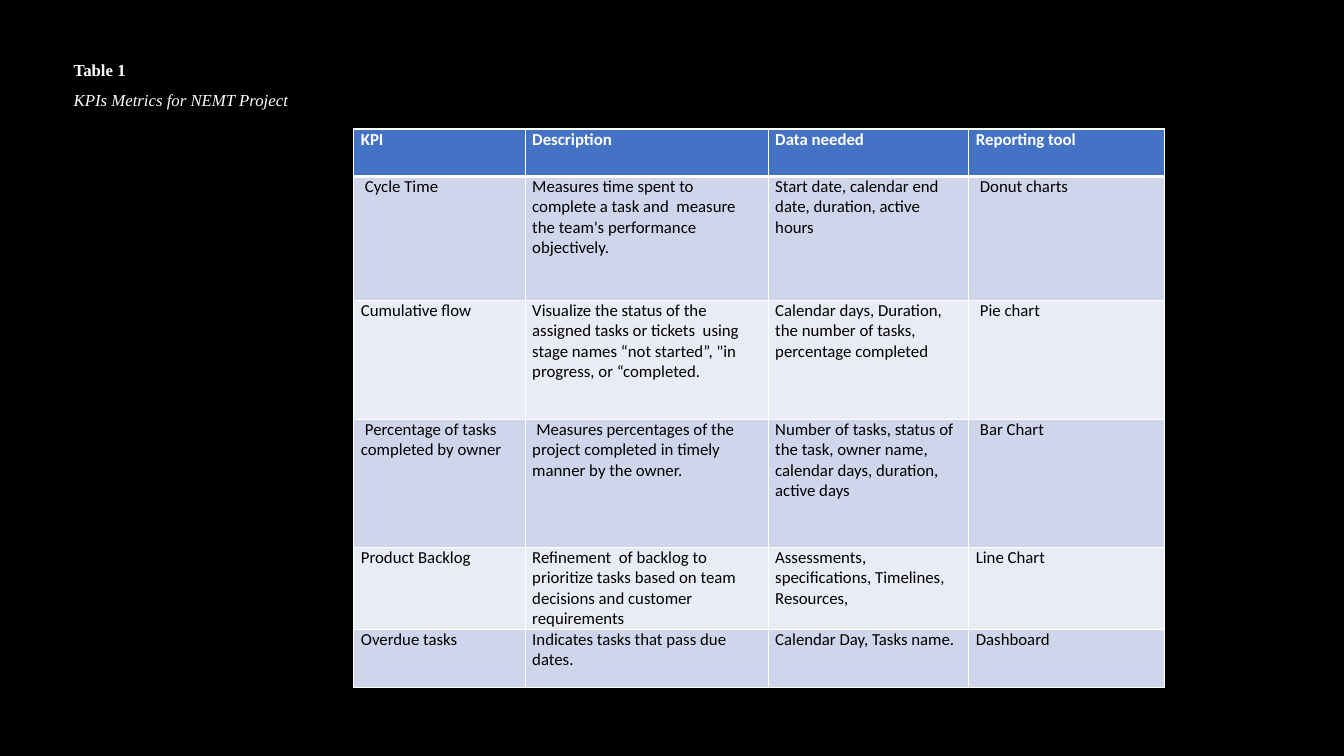
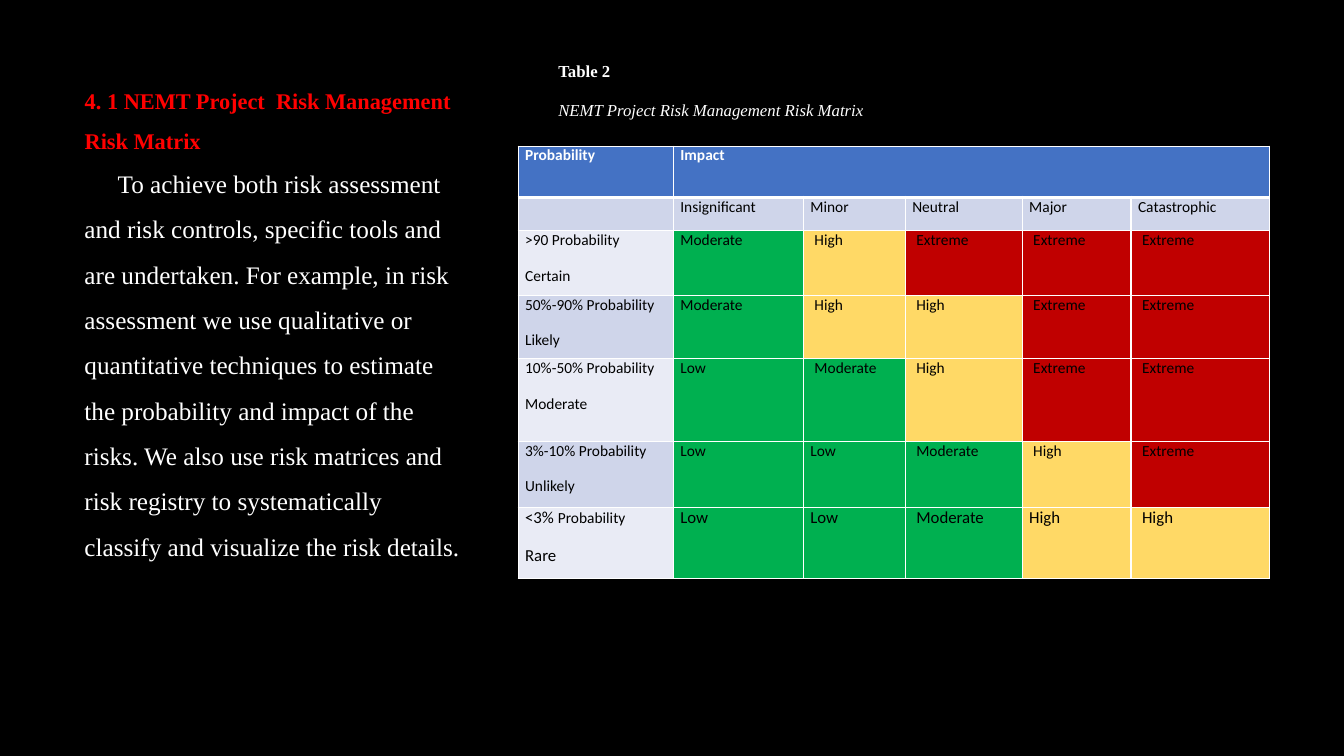
from dataclasses import dataclass, field

from lxml import etree
from pptx import Presentation
from pptx import util as u
from pptx.dml.color import RGBColor
from pptx.enum import text as t
from pptx.oxml.ns import qn


@dataclass(frozen=True)
class Theme:
    """Colours, fonts and type sizes of the deck."""
    back: str = "000000"
    light: str = "FFFFFF"
    dark: str = "000000"
    accent: str = "FF0000"
    header: str = "4472C4"
    bands: tuple[str, str] = ("E9EBF5", "CFD5EA")
    low: str = "00B050"
    medium: str = "FFD966"
    severe: str = "C00000"
    serif: str = "Times New Roman"
    sans: str = "Calibri"
    small: float = 11
    normal: float = 12
    heading: float = 16
    body: float = 18


TH = Theme()
WIDTH, HEIGHT = u.Inches(13.33), u.Inches(7.5)
RATINGS = {"Low": TH.low, "Moderate": TH.low, "High": TH.medium, "Extreme": TH.severe}


@dataclass(frozen=True)
class Box:
    """Place in percent of the slide's width and height."""
    left: float
    top: float
    width: float
    height: float


@dataclass(frozen=True)
class Run:
    text: str
    size: float = TH.normal
    color: str = TH.light
    bold: bool = False
    italic: bool = False
    name: str = TH.serif


@dataclass(frozen=True)
class Para:
    runs: list[Run]
    indent: float = 0  # first line, inches
    fmt: dict = field(default_factory=dict)


@dataclass(frozen=True)
class Grid:
    """Table with column and row sizes in percent of the slide.

    A leading blank in a cell's text stands for a small first-line indent.
    """
    left: float
    top: float
    cols: list[float]
    rows: list[float]
    cells: list[list[str]]
    size: float = TH.normal
    last_size: float = TH.normal


def across(share: float) -> int:
    return round(WIDTH * share / 100)


def down(share: float) -> int:
    return round(HEIGHT * share / 100)


def apply(obj, fmt: dict) -> None:
    for name, value in fmt.items():
        setattr(obj, name, value)


def write(tf, paras: list[Para]) -> None:
    for i, para in enumerate(paras):
        p = tf.paragraphs[0] if i == 0 else tf.add_paragraph()
        apply(p, {"alignment": t.PP_ALIGN.LEFT, **para.fmt})
        if para.indent:
            p._p.get_or_add_pPr().set("indent", str(u.Inches(para.indent)))
        for run in para.runs:
            r = p.add_run()
            r.text = run.text
            apply(r.font, {"size": u.Pt(run.size), "bold": run.bold,
                           "italic": run.italic, "name": run.name})
            r.font.color.rgb = RGBColor.from_string(run.color)


def place_text(sp, box: Box, paras: list[Para]) -> None:
    apply(sp, {"left": across(box.left), "top": down(box.top),
               "width": across(box.width), "height": down(box.height)})
    apply(sp.text_frame, {"word_wrap": True, "auto_size": t.MSO_AUTO_SIZE.NONE,
                          "vertical_anchor": t.MSO_ANCHOR.TOP})
    write(sp.text_frame, paras)


def caption(number: str, name: str, fmt: dict) -> list[Para]:
    return [Para([Run(number, bold=True)], fmt=fmt),
            Para([Run(name, italic=True)], fmt=fmt)]


def set_borders(cell, top: float, bottom: float) -> None:
    tc_pr = cell._tc.get_or_add_tcPr()
    for i, (side, width) in enumerate({"L": 1, "R": 1, "T": top, "B": bottom}.items()):
        ln = etree.Element(qn(f"a:ln{side}"), w=str(u.Pt(width)))
        fill = etree.SubElement(ln, qn("a:solidFill"))
        etree.SubElement(fill, qn("a:srgbClr"), val=TH.light)
        tc_pr.insert(i, ln)


def cell_paras(value: str, size: float, header: bool, label_size: float) -> list[Para]:
    look = {"color": TH.light if header else TH.dark, "bold": header, "name": TH.sans}
    gaps = {"space_before": u.Pt(6), "space_after": u.Pt(6)}
    paras = []
    for line in value.split("\n"):
        # The word "Probability" keeps the label size next to a larger figure
        head, word, _ = line.partition("Probability")
        runs = [Run(head.lstrip(), size, **look)] if head else []
        if word:
            runs.append(Run(word, label_size, **look))
        paras.append(Para(runs, 0.04 if line.startswith(" ") else 0, gaps))
    return paras


def add_grid(s, grid: Grid):
    n_rows, n_cols = len(grid.rows), len(grid.cols)
    table = s.shapes.add_table(n_rows, n_cols, across(grid.left), down(grid.top),
                               across(sum(grid.cols)), down(sum(grid.rows))).table
    for col, share in zip(table.columns, grid.cols):
        col.width = across(share)
    for row, share in zip(table.rows, grid.rows):
        row.height = down(share)
    for i, values in enumerate(grid.cells):
        size = grid.last_size if i == n_rows - 1 else grid.size
        for j, value in enumerate(values):
            cell = table.cell(i, j)
            apply(cell, {"margin_left": u.Inches(0.07), "margin_right": u.Inches(0.07),
                         "margin_top": 0, "margin_bottom": 0})
            band = TH.header if i == 0 else TH.bands[i % 2]
            cell.fill.solid()
            cell.fill.fore_color.rgb = RGBColor.from_string(
                RATINGS.get(value.strip(), band))
            set_borders(cell, 3 if i == 1 else 1, 3 if i == 0 else 1)
            if value:
                write(cell.text_frame, cell_paras(value, size, i == 0, grid.size))
    return table


def new_slide(prs):
    s = prs.slides.add_slide(prs.slide_layouts[5])  # title only
    s.background.fill.solid()
    s.background.fill.fore_color.rgb = RGBColor.from_string(TH.back)
    return s


KPIS = Grid(
    26.33, 17.07, [12.75, 18.08, 14.93, 14.55], [6.27, 16.4, 15.73, 16.93, 10, 7.73],
    [["KPI", "Description", "Data needed", "Reporting tool"],
     [" Cycle Time",
      "Measures time spent to complete a task and  measure the team's performance objectively.",
      "Start date, calendar end date, duration, active hours", " Donut charts"],
     ["Cumulative flow",
      "Visualize the status of the assigned tasks or tickets  using stage names "
      "“not started”, \"in progress, or “completed.",
      "Calendar days, Duration, the number of tasks, percentage completed", " Pie chart"],
     [" Percentage of tasks completed by owner",
      " Measures percentages of the project completed in timely manner by the owner.",
      "Number of tasks, status of the task, owner name, calendar days, duration, active days",
      " Bar Chart"],
     ["Product Backlog",
      "Refinement  of backlog to prioritize tasks based on team decisions and "
      "customer requirements",
      "Assessments, specifications, Timelines, Resources,", "Line Chart"],
     ["Overdue tasks", "Indicates tasks that pass due dates.",
      "Calendar Day, Tasks name.", "Dashboard"]])

RISKS = Grid(
    38.55, 19.33, [11.55, 9.68, 7.58, 8.7, 8.1, 10.28],
    [6.8, 4.4, 8.53, 8.4, 10.93, 8.8, 9.33],
    [["Probability", "Impact", "", "", "", ""],
     ["", "Insignificant", "Minor", "Neutral", "Major", "Catastrophic"],
     [">90 Probability\nCertain", "Moderate", " High", " Extreme", " Extreme", " Extreme"],
     ["50%-90% Probability\nLikely", "Moderate", " High", " High", " Extreme", " Extreme"],
     ["10%-50% Probability\nModerate", "Low", " Moderate", " High", " Extreme", " Extreme"],
     ["3%-10% Probability\nUnlikely", "Low", "Low", " Moderate", " High", " Extreme"],
     ["<3% Probability\nRare", "Low", "Low", " Moderate", "High", " High"]],
    size=TH.small)

BODY = ("To achieve both risk assessment and risk controls, specific tools and are "
        "undertaken. For example, in risk assessment we use qualitative or quantitative "
        "techniques to estimate the probability and impact of the risks. We also use risk "
        "matrices and risk registry to systematically classify and visualize the "
        "risk details.")


def kpi_slide(prs) -> None:
    s = new_slide(prs)
    place_text(s.shapes.title, Box(4.73, 5.87, 22.5, 8.93),
               caption("Table 1", "KPIs Metrics for NEMT Project", {"line_spacing": 1.5}))
    add_grid(s, KPIS)


def risk_slide(prs) -> None:
    s = new_slide(prs)
    loose = {"line_spacing": 1.5}
    # Heading and explanation on the left
    place_text(s.shapes.title, Box(5.55, 9.07, 29.4, 10.53),
               [Para([Run("4. 1 NEMT Project  Risk Management Risk Matrix",
                          TH.heading, TH.accent, bold=True)], fmt=loose)])
    place_text(s.shapes.add_textbox(0, 0, 0, 0), Box(5.55, 19.6, 29.4, 73.6),
               [Para([Run(BODY, TH.body)], 0.33, loose)])
    # Matrix with its caption on the right
    table = add_grid(s, RISKS)
    table.cell(0, 1).merge(table.cell(0, len(RISKS.cols) - 1))
    place_text(s.shapes.add_textbox(0, 0, 0, 0), Box(40.8, 7.33, 28.58, 9.47),
               caption("Table 2", "NEMT Project Risk Management Risk Matrix",
                       {"space_after": u.Pt(14)}))


def main() -> None:
    prs = Presentation()
    apply(prs, {"slide_width": WIDTH, "slide_height": HEIGHT})
    kpi_slide(prs)
    risk_slide(prs)
    prs.save("out.pptx")


if __name__ == "__main__":
    main()
